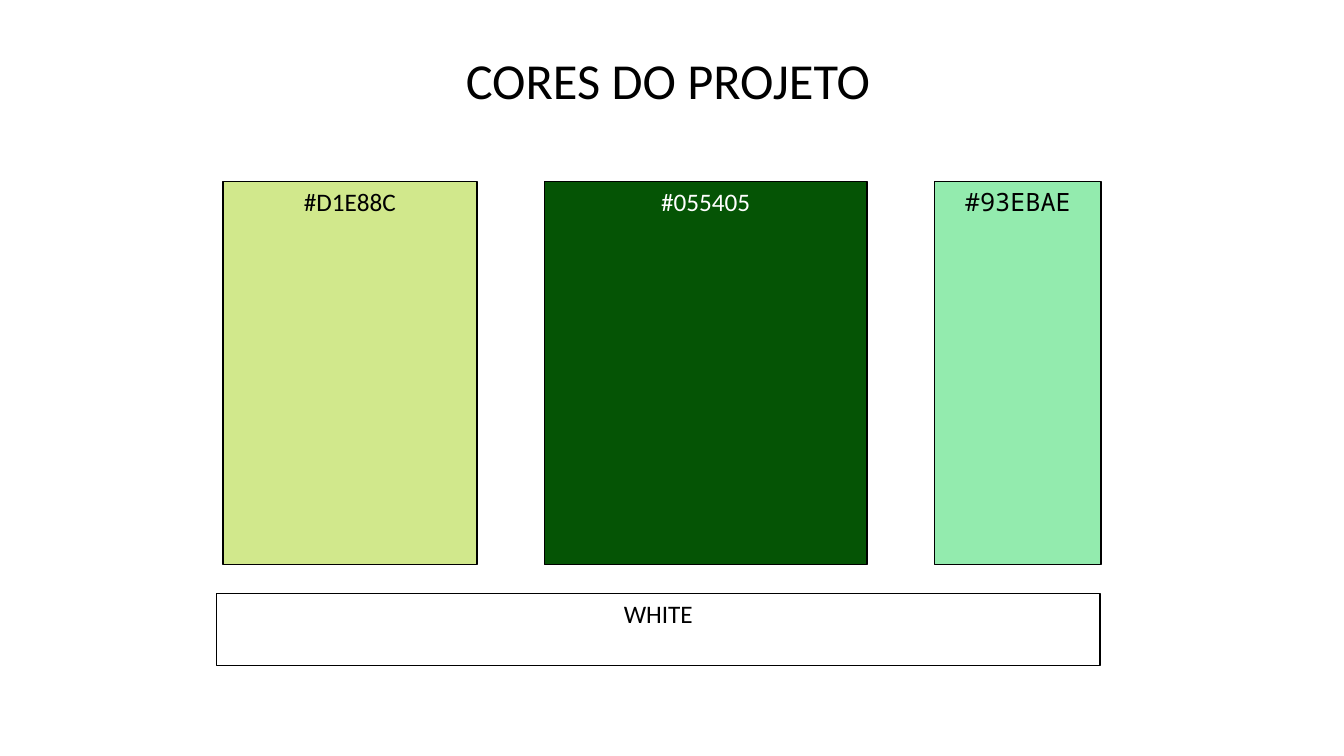
from pptx import Presentation
from pptx import util as u
from pptx.dml.color import RGBColor
from pptx.enum import shapes, text

COLORS = {
    "black": "000000",
    "white": "FFFFFF",
    "lime": "D1E88C",
    "forest": "055405",
    "mint": "93EBAE",
}
SANS, MONO = "Calibri", "Noto Sans Mono"


class PaletteSlide:
    """Holds the style and the current slide."""

    def __init__(self, deck):
        self.page = deck.slides.add_slide(deck.slide_layouts[5])

    def color(self, name):
        return RGBColor.from_string(COLORS[name])

    def label(self, box, words, size, align, ink="black", font=SANS):
        frame = box.text_frame
        frame.vertical_anchor = text.MSO_ANCHOR.TOP
        para = frame.paragraphs[0]
        para.alignment = align
        span = para.add_run()
        span.text = words
        span.font.size = u.Pt(size)
        span.font.name = font
        span.font.color.rgb = self.color(ink)

    def title(self, words, left, top, width, height):
        box = self.page.shapes.title
        box.left, box.top = u.Inches(left), u.Inches(top)
        box.width, box.height = u.Inches(width), u.Inches(height)
        box.text_frame.word_wrap = True
        box.text_frame.auto_size = text.MSO_AUTO_SIZE.SHAPE_TO_FIT_TEXT
        self.label(box, words, 36, text.PP_ALIGN.LEFT)

    def swatch(self, words, fill, left, top, width, height, **style):
        box = self.page.shapes.add_shape(
            shapes.MSO_SHAPE.RECTANGLE,
            u.Inches(left), u.Inches(top), u.Inches(width), u.Inches(height))
        box.shadow.inherit = False
        box.fill.solid()
        box.fill.fore_color.rgb = self.color(fill)
        box.line.color.rgb = self.color("black")
        box.line.width = u.Pt(1)
        self.label(box, words, 18, text.PP_ALIGN.CENTER, **style)


def main():
    deck = Presentation()
    deck.slide_width, deck.slide_height = u.Inches(13.33), u.Inches(7.5)
    slide = PaletteSlide(deck)

    # Heading
    slide.title("CORES DO PROJETO", 4.52, 0.44, 4.48, 0.71)

    # Tall swatches, labelled with their own hex code
    gap, left = 0.67, 2.21
    for name, width, style in (
        ("lime", 2.52, {}),
        ("forest", 3.2, {"ink": "white"}),
        ("mint", 1.65, {"font": MONO}),
    ):
        slide.swatch("#" + COLORS[name], name, left, 1.8, width, 3.8, **style)
        left += width + gap

    # White swatch across the bottom
    slide.swatch("WHITE", "white", 2.15, 5.89, 8.76, 0.71)

    deck.save("out.pptx")


if __name__ == "__main__":
    main()
